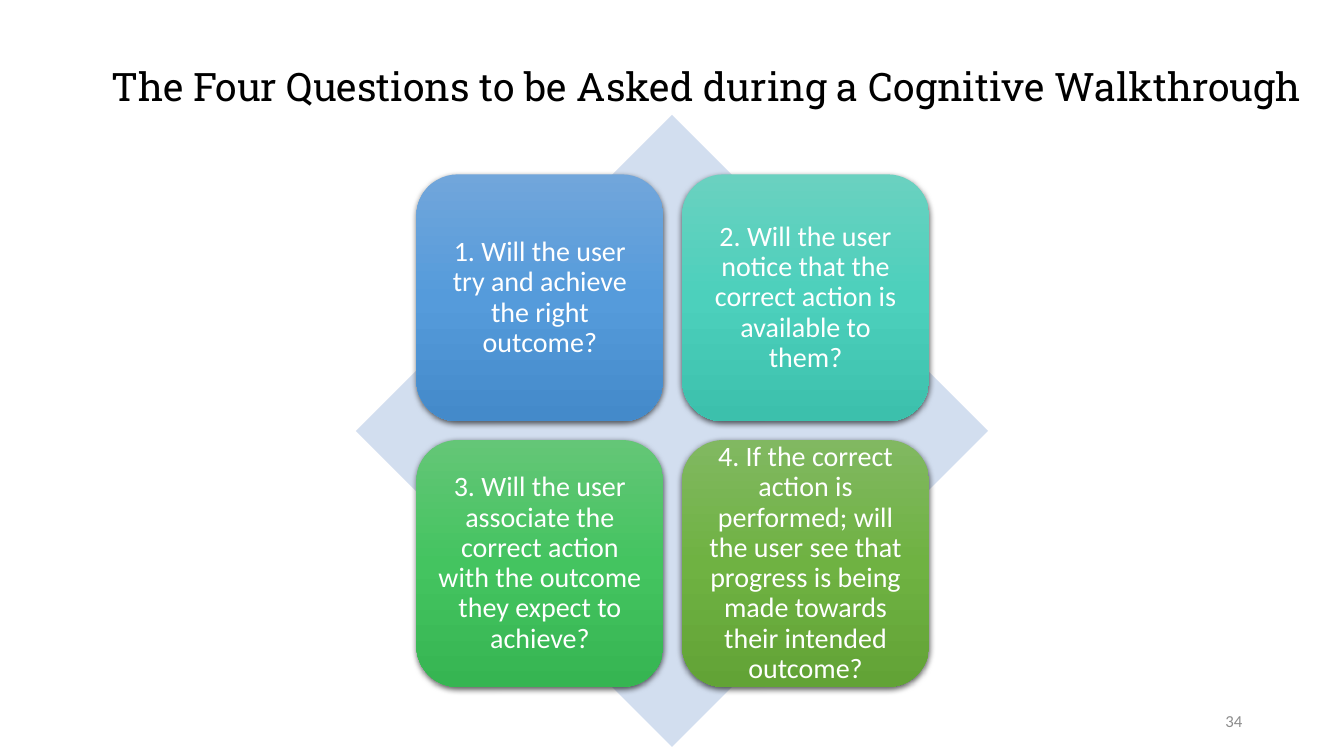
import copy

import lxml.etree
import pptx
import pptx.dml.color
import pptx.enum.shapes
import pptx.enum.text
import pptx.oxml.ns
import pptx.util

Inches = pptx.util.Inches
Pt = pptx.util.Pt
RGBColor = pptx.dml.color.RGBColor
Shape = pptx.enum.shapes.MSO_SHAPE
Align = pptx.enum.text.PP_ALIGN
Anchor = pptx.enum.text.MSO_ANCHOR
qn = pptx.oxml.ns.qn

BLACK = RGBColor(0x00, 0x00, 0x00)
WHITE = RGBColor(0xFF, 0xFF, 0xFF)
GRAY = RGBColor(0x8C, 0x8C, 0x8C)
PALE_BLUE = RGBColor(0xD2, 0xDE, 0xEF)
BLUES = (RGBColor(0x71, 0xA6, 0xDB), RGBColor(0x55, 0x9B, 0xDB), RGBColor(0x44, 0x8A, 0xCA))
TEALS = (RGBColor(0x6A, 0xD1, 0xC0), RGBColor(0x4C, 0xD0, 0xBC), RGBColor(0x3C, 0xC0, 0xAC))
GREENS = (RGBColor(0x64, 0xC6, 0x77), RGBColor(0x44, 0xC4, 0x60), RGBColor(0x36, 0xB5, 0x52))
OLIVES = (RGBColor(0x81, 0xB8, 0x61), RGBColor(0x6F, 0xB2, 0x42), RGBColor(0x62, 0xA3, 0x36))

QUESTIONS = [
    ("1. Will the user try and achieve the right outcome?", BLUES),
    ("2. Will the user notice that the correct action is available to them?", TEALS),
    ("3. Will the user associate the correct action with the outcome "
     "they expect to achieve?", GREENS),
    ("4. If the correct action is performed; will the user see that progress "
     "is being made towards their intended outcome?", OLIVES),
]
CARD_LEFT, CARD_TOP = 4.13, 1.73
CARD_SIZE, CARD_STEP = 2.45, 2.635


def write_text(shape, text, font_name, size, color, alignment, anchor):
    frame = shape.text_frame
    frame.word_wrap = True
    frame.vertical_anchor = anchor
    paragraph = frame.paragraphs[0]
    paragraph.alignment = alignment
    run = paragraph.add_run()
    run.text = text
    run.font.name = font_name
    run.font.size = Pt(size)
    run.font.color.rgb = color
    return paragraph


def set_title(slide, text):
    title = slide.shapes.title
    title.left, title.top = Inches(0.34), Inches(0.57)
    title.width, title.height = Inches(13.33), Inches(0.57)
    write_text(title, text, "Roboto Slab", 28, BLACK, Align.CENTER, Anchor.TOP)
    title.text_frame.auto_size = pptx.enum.text.MSO_AUTO_SIZE.SHAPE_TO_FIT_TEXT


def add_slide_number(slide, number):
    box = slide.shapes.add_textbox(Inches(9.42), Inches(6.95), Inches(3), Inches(0.4))
    write_text(box, number, "Calibri", 12, GRAY, Align.RIGHT, Anchor.MIDDLE)


def add_diamond(group):
    diamond = group.shapes.add_shape(
        Shape.DIAMOND, Inches(3.53), Inches(1.14), Inches(6.27), Inches(6.27))
    diamond.shadow.inherit = False
    diamond.fill.solid()
    diamond.fill.fore_color.rgb = PALE_BLUE
    diamond.line.fill.background()


def fill_gradient(shape, colors):
    shape.fill.gradient()
    shape.fill.gradient_angle = 270
    # The default gradient has two stops, so add the third
    stop_list = shape._element.spPr.find(".//" + qn("a:gsLst"))
    stop_list.append(copy.deepcopy(stop_list[0]))
    for stop, color, position in zip(shape.fill.gradient_stops, colors, (0, 0.5, 1)):
        stop.color.rgb = color
        stop.position = position


def add_drop_shadow(shape):
    shape.shadow.inherit = False
    effects = shape._element.spPr.find(qn("a:effectLst"))
    shadow = lxml.etree.SubElement(
        effects, qn("a:outerShdw"), blurRad=str(Pt(4.5)), dist=str(Pt(1.5)),
        dir="5400000", algn="ctr", rotWithShape="0")
    color = lxml.etree.SubElement(shadow, qn("a:srgbClr"), val=str(BLACK))
    lxml.etree.SubElement(color, qn("a:alpha"), val="63000")


def add_question(group, left, top, text, colors):
    card = group.shapes.add_shape(
        Shape.ROUNDED_RECTANGLE, Inches(left), Inches(top),
        Inches(CARD_SIZE), Inches(CARD_SIZE))
    fill_gradient(card, colors)
    card.line.fill.background()
    add_drop_shadow(card)
    frame = card.text_frame
    frame.margin_left = frame.margin_right = Inches(0.08)
    frame.margin_top = frame.margin_bottom = Inches(0.08)
    paragraph = write_text(card, text, "Calibri", 20, WHITE, Align.CENTER, Anchor.MIDDLE)
    paragraph.line_spacing = 0.9
    paragraph.space_after = Pt(7)


def main():
    presentation = pptx.Presentation()
    presentation.slide_width = Inches(13.33)
    presentation.slide_height = Inches(7.5)
    slide = presentation.slides.add_slide(presentation.slide_layouts[5])

    # Slide number and title
    add_slide_number(slide, "34")
    set_title(slide, "The Four Questions to be Asked during a Cognitive Walkthrough")

    # Two by two matrix of questions on a diamond
    matrix = slide.shapes.add_group_shape()
    add_diamond(matrix)
    for index, (text, colors) in enumerate(QUESTIONS):
        row, column = divmod(index, 2)
        add_question(matrix, CARD_LEFT + column * CARD_STEP,
                     CARD_TOP + row * CARD_STEP, text, colors)

    presentation.save("out.pptx")


if __name__ == "__main__":
    main()
